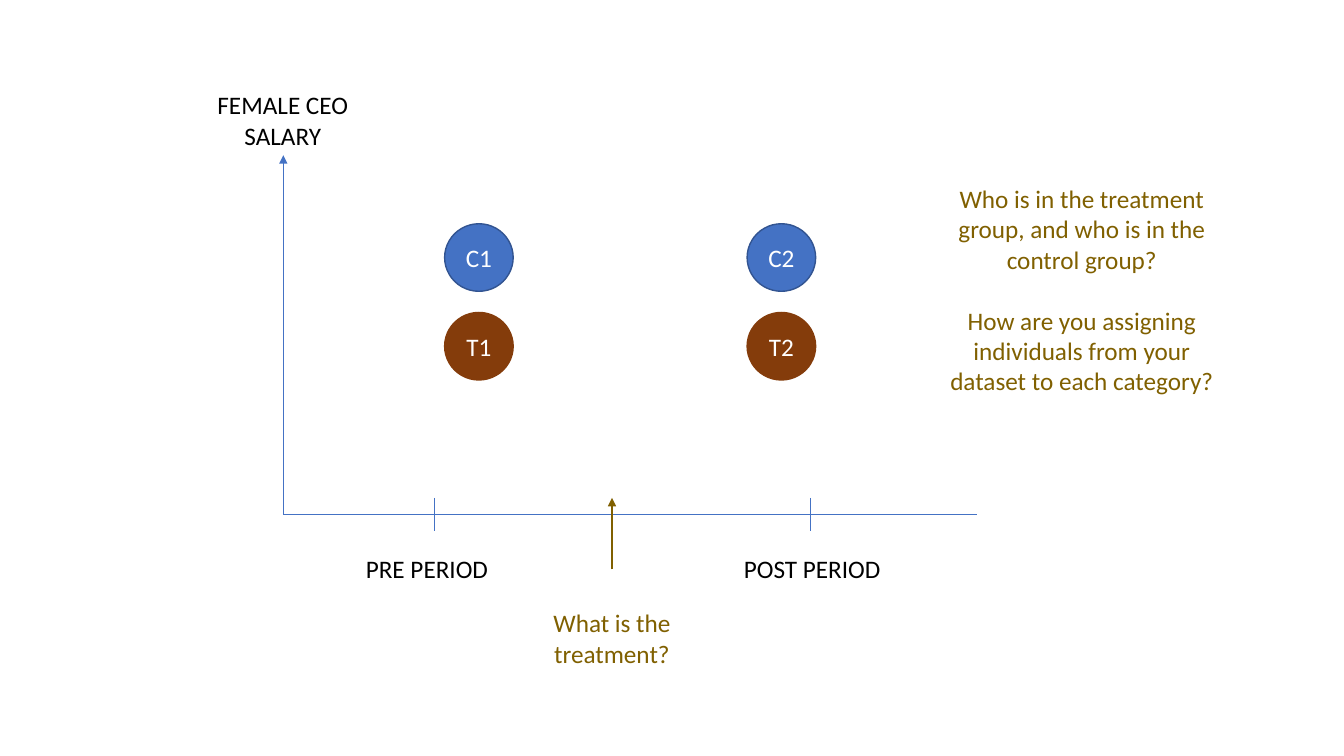
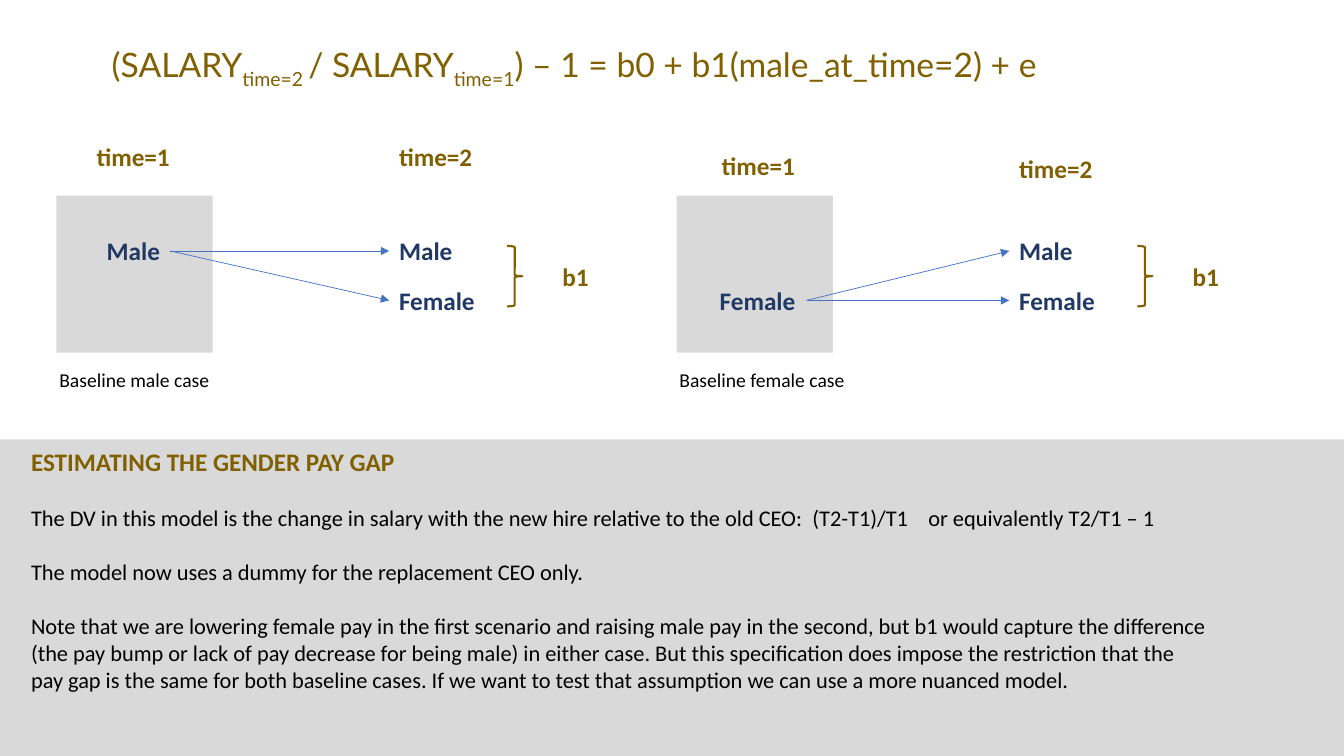
from dataclasses import dataclass
from typing import NamedTuple

from lxml.etree import SubElement
from pptx import Presentation
from pptx.dml.color import RGBColor
from pptx.enum.shapes import MSO_CONNECTOR, MSO_SHAPE
from pptx.enum.text import MSO_ANCHOR, MSO_AUTO_SIZE, PP_ALIGN
from pptx.oxml.ns import qn
from pptx.util import Inches, Pt


@dataclass(frozen=True)
class Theme:
    """Colours, fonts and type sizes shared by the slides."""

    blue: str = "4472C4"
    blue_edge: str = "325491"
    navy: str = "203864"
    brown: str = "843C0B"
    gold: str = "806000"
    gray: str = "D9D9D9"
    black: str = "000000"
    white: str = "FFFFFF"
    font: str = "Calibri"
    formula_font: str = "Lato"
    formula: int = 24
    label: int = 18
    body: int = 16
    caption: int = 14
    thin: float = 0.5
    medium: float = 1.25
    thick: float = 1.5


THEME = Theme()


class Box(NamedTuple):
    """A rectangle in inches."""

    left: float
    top: float
    width: float
    height: float

    def inside(self, left, top, width, height):
        """Return a box placed relative to this one."""
        return Box(self.left + left, self.top + top, width, height)

    def lengths(self):
        """Return the four sides as slide lengths."""
        return [Inches(side) for side in self]


@dataclass(frozen=True)
class Case:
    """One baseline case and the offsets of its movable labels."""

    baseline: str
    caption: str
    caption_width: float
    baseline_left: float
    first_time: tuple
    second_time: tuple
    brace_left: float


def write(frame, lines, size=THEME.label, color=THEME.black, bold=False,
          font=THEME.font, align=PP_ALIGN.LEFT, gap=0, tabs=()):
    """Write paragraphs, each a string or a list of (text, baseline) pairs."""
    for index, line in enumerate(lines):
        para = frame.paragraphs[0] if index == 0 else frame.add_paragraph()
        para.alignment = align
        if gap and index:
            para.space_before = Pt(gap)
        if tabs and "\t" in line:
            stops = SubElement(para._p.get_or_add_pPr(), qn("a:tabLst"))
            for stop in tabs:
                SubElement(stops, qn("a:tab"), pos=str(Inches(stop)), algn="l")
        for text, baseline in [(line, 0)] if isinstance(line, str) else line:
            span = para.add_run()
            span.text = text
            span.font.name = font
            span.font.size = Pt(size)
            span.font.bold = bold
            span.font.color.rgb = RGBColor.from_string(color)
            if baseline:
                span._r.get_or_add_rPr().set("baseline", str(baseline * 1000))


def add_text(page, box, *lines, wrap=False, **style):
    """Add a text box and write its lines."""
    frame = page.shapes.add_textbox(*box.lengths()).text_frame
    frame.word_wrap = wrap
    frame.auto_size = MSO_AUTO_SIZE.SHAPE_TO_FIT_TEXT
    write(frame, lines, **style)


def add_figure(page, kind, box, fill=None, line=None, weight=1):
    """Add a flat preset shape."""
    figure = page.shapes.add_shape(kind, *box.lengths())
    figure.shadow.inherit = False
    if fill:
        figure.fill.solid()
        figure.fill.fore_color.rgb = RGBColor.from_string(fill)
    else:
        figure.fill.background()
    if line:
        figure.line.color.rgb = RGBColor.from_string(line)
        figure.line.width = Pt(weight)
    else:
        figure.line.fill.background()
    return figure


def add_line(page, start, end, color=THEME.blue, weight=THEME.thin, arrow=False):
    """Add a straight line with an optional arrowhead at its end."""
    ends = [Inches(value) for value in (*start, *end)]
    line = page.shapes.add_connector(MSO_CONNECTOR.STRAIGHT, *ends)
    line.line.color.rgb = RGBColor.from_string(color)
    line.line.width = Pt(weight)
    properties = line.element.spPr
    if arrow:
        SubElement(properties.find(qn("a:ln")), qn("a:tailEnd"), type="triangle")
    SubElement(properties, qn("a:effectLst"))


def add_axes(page, box):
    """Draw the salary and period axes with their labels."""
    base = box.top + box.height
    add_line(page, (box.left, base), (box.left, box.top), arrow=True)
    add_line(page, (box.left, base), (box.left + box.width, base))
    for tick in (1.5, 5.23):
        across = box.left + tick
        add_line(page, (across, base - 0.16), (across, base + 0.17))
    add_text(page, box.inside(-0.79, -0.7, 1.57, 0.71), "FEMALE CEO", "SALARY",
             align=PP_ALIGN.CENTER)
    for name, left, width in (("PRE PERIOD", 0.72, 1.42), ("POST PERIOD", 4.47, 1.57)):
        add_text(page, box.inside(left, box.height + 0.34, width, 0.4), name)


def add_groups(page, box):
    """Draw control and treatment circles for both periods."""
    rows = (("C", THEME.blue, THEME.blue_edge), ("T", THEME.brown, THEME.brown))
    for row, (letter, fill, edge) in enumerate(rows):
        for column in range(2):
            place = box.inside(column * 3, row * 0.88, 0.68, 0.67)
            circle = add_figure(page, MSO_SHAPE.OVAL, place, fill, edge)
            circle.text_frame.vertical_anchor = MSO_ANCHOR.MIDDLE
            write(circle.text_frame, [f"{letter}{column + 1}"],
                  color=THEME.white, align=PP_ALIGN.CENTER)


def add_treatment(page, box):
    """Draw the treatment arrow with its question below."""
    middle = box.left + box.width / 2
    add_line(page, (middle, box.top + 0.71), (middle, box.top),
             THEME.gold, THEME.medium, arrow=True)
    add_text(page, box.inside(0, 1.04, box.width, 0.71), "What is the", "treatment?",
             color=THEME.gold, align=PP_ALIGN.CENTER)


def build_design(page):
    """Build the slide about treatment and control groups."""
    axes = Box(2.81, 1.54, 6.88, 3.56)
    add_axes(page, axes)
    add_groups(page, axes.inside(1.6, 0.68, 3.68, 1.55))
    add_treatment(page, axes.inside(2.55, 3.4, 1.42, 1.75))
    add_text(page, Box(9.3, 1.77, 2.86, 2.22),
             "Who is in the treatment group, and who is in the control group?",
             "How are you assigning individuals from your dataset to each category?",
             wrap=True, color=THEME.gold, align=PP_ALIGN.CENTER, gap=22)


def add_case(page, box, case):
    """Draw one baseline case with its two replacement outcomes."""
    rows = {"Male": (0.35, 0.73), "Female": (0.84, 0.96)}
    outcome_left = 3.3
    add_figure(page, MSO_SHAPE.RECTANGLE, box, THEME.gray)
    for name, place in (("time=1", case.first_time), ("time=2", case.second_time)):
        add_text(page, box.inside(*place, 0.94, 0.4), name, color=THEME.gold, bold=True)
    top, width = rows[case.baseline]
    add_text(page, box.inside(case.baseline_left, top, width, 0.4), case.baseline,
             color=THEME.navy, bold=True)
    start = (box.left + case.baseline_left + width, box.top + top + 0.2)
    for name, (row_top, row_width) in rows.items():
        add_text(page, box.inside(outcome_left, row_top, row_width, 0.4), name,
                 color=THEME.navy, bold=True)
        end = (box.left + outcome_left, box.top + row_top + 0.2)
        add_line(page, start, end, arrow=True)
    add_figure(page, MSO_SHAPE.RIGHT_BRACE, box.inside(case.brace_left, 0.5, 0.15, 0.6),
               line=THEME.gold, weight=THEME.thick)
    add_text(page, box.inside(case.brace_left + 0.45, 0.6, 0.46, 0.4), "b1",
             color=THEME.gold, bold=True)
    add_text(page, box.inside(-0.07, 1.66, case.caption_width, 0.34), case.caption,
             size=THEME.caption)


def add_notes_band(page, box):
    """Draw the gray band that explains the model."""
    add_figure(page, MSO_SHAPE.RECTANGLE, box, THEME.gray)
    frame_box = box.inside(0.21, 0.02, 11.9, 2.56)
    heading_height = 0.4
    add_text(page, frame_box._replace(height=heading_height),
             "ESTIMATING THE GENDER PAY GAP", color=THEME.gold, bold=True)
    add_text(page, frame_box.inside(0, 0.57, 11.9, 1.99),
             "The DV in this model is the change in salary with the new hire relative "
             "to the old CEO:\t(T2-T1)/T1\tor equivalently T2/T1 – 1",
             "The model now uses a dummy for the replacement CEO only.",
             "Note that we are lowering female pay in the first scenario and raising "
             "male pay in the second, but b1 would capture the difference (the pay bump "
             "or lack of pay decrease for being male) in either case. But this "
             "specification does impose the restriction that the pay gap is the same "
             "for both baseline cases. If we want to test that assumption we can use a "
             "more nuanced model.",
             wrap=True, size=THEME.body, gap=19.5, tabs=(7.75, 8.9))


def build_model(page):
    """Build the slide about the pay gap model."""
    add_notes_band(page, Box(0, 4.36, 13.33, 3.14))
    formula = [("(SALARY", 0), ("time=2 ", -25), ("/ SALARY", 0), ("time=1", -25),
               (") – 1 = b0 + b1(male_at_time=2) + e", 0)]
    add_text(page, Box(1.01, 0.39, 10.31, 0.5), formula, size=THEME.formula,
             color=THEME.gold, font=THEME.formula_font)
    cases = (
        Case("Male", "Baseline male case", 1.7, 0.4, (0.3, -0.59), (3.3, -0.59), 4.47),
        Case("Female", "Baseline female case", 1.86, 0.33, (0.35, -0.5), (3.3, -0.47), 4.57),
    )
    for index, case in enumerate(cases):
        add_case(page, Box(0.56 + index * 6.15, 1.94, 1.55, 1.56), case)


def main():
    """Build and save the deck."""
    deck = Presentation()
    deck.slide_width = Inches(13.33)
    deck.slide_height = Inches(7.5)
    for build in (build_design, build_model):
        build(deck.slides.add_slide(deck.slide_layouts[6]))
    deck.save("out.pptx")


if __name__ == "__main__":
    main()
